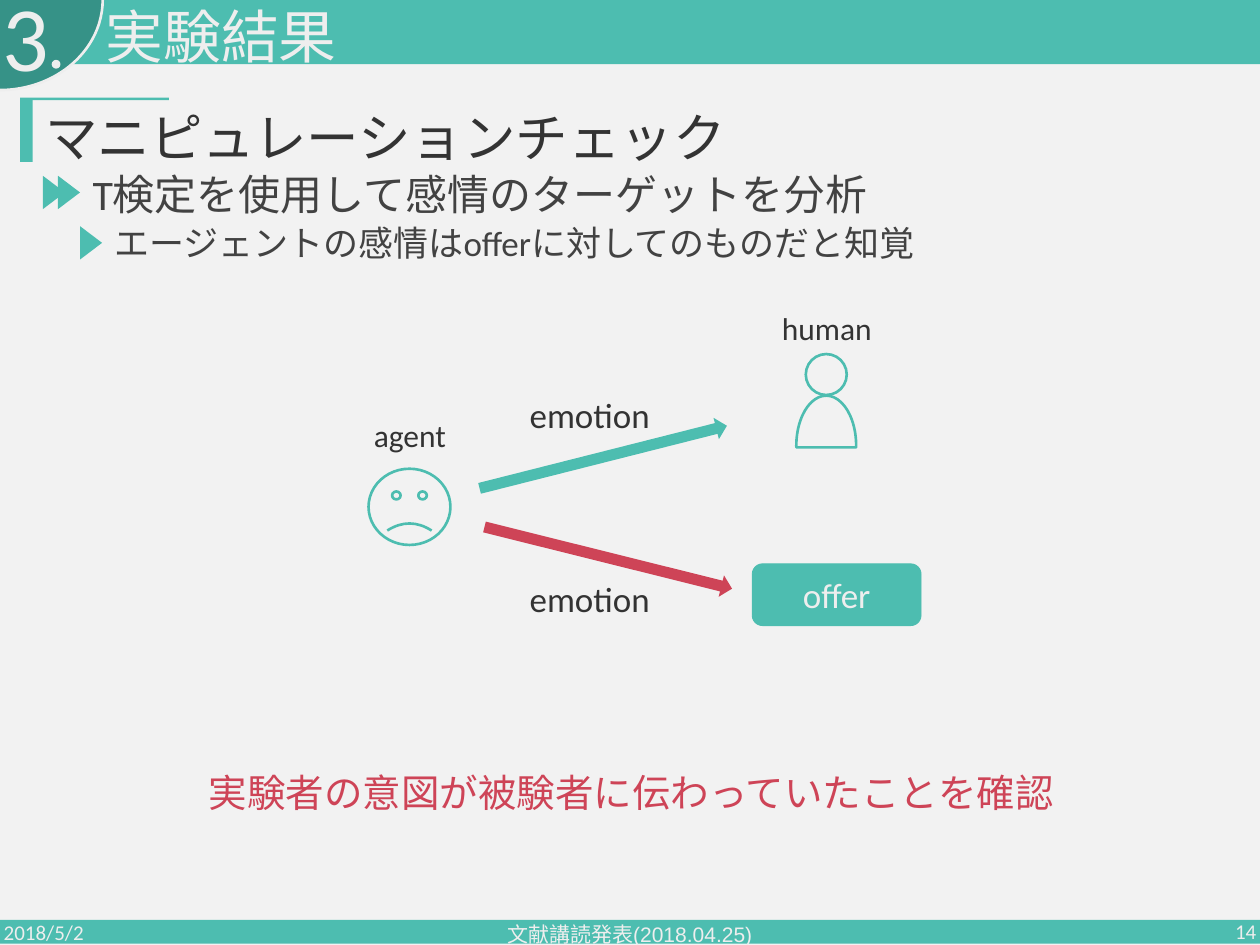
from collections import namedtuple
from dataclasses import dataclass

from pptx import Presentation
from pptx.dml.color import RGBColor
from pptx.enum.shapes import MSO_SHAPE as Form
from pptx.enum.text import MSO_ANCHOR as Anchor, MSO_AUTO_SIZE as Auto, PP_ALIGN as Align
from pptx.util import Inches, Pt


@dataclass(frozen=True)
class Theme:
    """Colours, fonts and type sizes of the slide."""
    back: str = "F2F2F2"
    teal: str = "4DBDB0"
    deep: str = "369287"
    pale: str = "EEEEEE"
    dark: str = "333333"
    grey: str = "424242"
    red: str = "CE4457"
    font: str = "Calibri"
    alt: str = "Arial"
    number: int = 105
    title: int = 66
    head: int = 60
    point: int = 48
    close: int = 44
    label: int = 40
    name: int = 36
    foot: int = 24
    line: int = 3


T = Theme()
Box = namedtuple("Box", "x y w h")


def color(code):
    """Turn a hex code into a colour."""
    return RGBColor.from_string(code)


def part(box, x, y, w, h):
    """Give the box at an offset inside another box."""
    return Box(box.x + x, box.y + y, w, h)


def place(box):
    """Give a box as four lengths."""
    return [Inches(round(v, 2)) for v in box]


def shape(shapes, form, box, fill=None, line=None, width=T.line, turn=0):
    """Add a preset shape without shadow."""
    item = shapes.add_shape(form, *place(box))
    item.shadow.inherit = False
    item.rotation = turn
    if fill:
        item.fill.solid()
        item.fill.fore_color.rgb = color(fill)
    else:
        item.fill.background()
    if line:
        item.line.color.rgb = color(line)
        item.line.width = Pt(width)
    else:
        item.line.fill.background()
    return item


def write(frame, text, size, ink, align=Align.LEFT, font=T.font):
    """Put one run of text in a frame and return its paragraph."""
    frame.word_wrap = True
    para = frame.paragraphs[0]
    para.alignment = align
    run = para.add_run()
    run.text = text
    run.font.size = Pt(size)
    run.font.name = font
    run.font.color.rgb = color(ink)
    return para


def body(shapes, box, text, size, ink):
    """Add a left-aligned line with tight spacing."""
    frame = shapes.add_textbox(*place(box)).text_frame
    para = write(frame, text, size, ink)
    para.line_spacing = 0.9
    para.space_before = Pt(20)


def label(shapes, box, text, size, ink=T.dark):
    """Add a centred label that fits its text."""
    frame = shapes.add_textbox(*place(box)).text_frame
    frame.auto_size = Auto.SHAPE_TO_FIT_TEXT
    write(frame, text, size, ink, Align.CENTER)


def header(shapes, box):
    """Draw the title band with its numbered corner."""
    shape(shapes, Form.RECTANGLE, box, T.teal)
    shape(shapes, Form.ARC, part(box, -1.44, -1.64, 2.87, 3.27), T.deep, T.pale, turn=90)
    shape(shapes, Form.OVAL, part(box, 0.82, 0.95, 0.14, 0.14), T.pale)
    body(shapes, part(box, -0.06, -0.17, 7.05, 1.55), "3", T.number, T.pale)
    body(shapes, part(box, 1.58, 0.08, 14.57, 0.87), "実験結果", T.title, T.pale)


def footer(shapes, box):
    """Draw the bottom band with date, event and page."""
    shape(shapes, Form.RECTANGLE, box, T.teal)
    cells = [
        (-0.04, -0.21, 4.5, "2018/5/2", Align.LEFT, T.font),
        (6.62, -0.18, 6.75, "文献講読発表(2018.04.25)", Align.CENTER, T.alt),
        (15.54, -0.22, 4.5, "14", Align.RIGHT, T.font),
    ]
    for x, y, w, text, align, font in cells:
        frame = shapes.add_textbox(*place(part(box, x, y, w, 0.8))).text_frame
        frame.vertical_anchor = Anchor.MIDDLE
        write(frame, text, T.foot, T.pale, align, font)


def points(shapes, box):
    """Draw the heading and its two levels of points."""
    mark = shapes.add_group_shape().shapes
    shape(mark, Form.RECTANGLE, part(box, 0, 0.03, 0.2, 0.99), T.teal)
    shape(mark, Form.RECTANGLE, part(box, 0, 0, 2.36, 0.04), T.teal)
    pair = shapes.add_group_shape().shapes
    for to, x, y in [(pair, 0.27, 1.33), (pair, 0.51, 1.33), (shapes, 0.86, 2.13)]:
        shape(to, Form.ISOSCELES_TRIANGLE, part(box, x, y, 0.53, 0.35), T.teal, turn=90)
    body(shapes, part(box, 1.05, 1.17, 18.19, 1.09),
         "T検定を使用して感情のターゲットを分析", T.point, T.grey)
    body(shapes, part(box, 1.4, 2, 17.65, 0.93),
         "エージェントの感情はofferに対してのものだと知覚", T.label, T.grey)
    body(shapes, part(box, 0.3, 0.18, 18.92, 1.53),
         "マニピュレーションチェック", T.head, T.dark)


def agent(shapes, box):
    """Draw the sad agent under its name."""
    label(shapes, part(box, 0, 0, box.w, 0.71), "agent", T.name)
    face = shape(shapes, Form.SMILEY_FACE, part(box, 0.47, 0.89, 1.3, 1.21), line=T.teal)
    face.adjustments[0] = -0.047


def human(shapes, box):
    """Draw the human figure under its name."""
    label(shapes, part(box, 0, 0, box.w, 0.71), "human", T.name)
    shape(shapes, Form.OVAL, part(box, 0.79, 0.77, 0.65, 0.65), line=T.teal)
    torso = shape(shapes, Form.CHORD, part(box, 0.64, 1.43, 0.95, 1.59), line=T.teal)
    torso.adjustments[0] = 106.149
    torso.adjustments[1] = 1.95


def offer(shapes, box):
    """Draw the offer button."""
    item = shape(shapes, Form.ROUNDED_RECTANGLE, box, T.teal, T.teal, 1)
    item.text_frame.vertical_anchor = Anchor.MIDDLE
    write(item.text_frame, "offer", T.label, T.pale, Align.CENTER)


def diagram(shapes, box):
    """Draw the agent's emotion going to the human and the offer."""
    group = shapes.add_group_shape().shapes
    agent(group, part(box, 0, 1.7, 2.25, 2.1))
    human(group, part(box, 6.62, 0, 2.25, 3.02))
    offer(group, part(box, 6.56, 4.1, 2.68, 0.98))
    for x, y, turn, ink, top in [
        (2.17, 2.23, -14.2, T.teal, 1.34),
        (2.25, 3.83, 14, T.red, 4.27),
    ]:
        shape(group, Form.RIGHT_ARROW, part(box, x, y, 4.05, 0.35), ink, turn=turn)
        label(group, part(box, 2.74, top, 2.48, 0.77), "emotion", T.label)


def main():
    """Build and save the slide."""
    deck = Presentation()
    deck.slide_width, deck.slide_height = Inches(20), Inches(15)
    slide = deck.slides.add_slide(deck.slide_layouts[6])
    slide.background.fill.solid()
    slide.background.fill.fore_color.rgb = color(T.back)
    shapes = slide.shapes
    footer(shapes, Box(0, 14.6, 20, 0.38))
    header(shapes, Box(0, 0, 20, 1.02))
    points(shapes, Box(0.32, 1.55, 19.24, 2.93))
    diagram(shapes, Box(5.38, 4.85, 9.24, 5.08))
    label(shapes, Box(1.61, 12.16, 16.83, 0.84),
          "実験者の意図が被験者に伝わっていたことを確認", T.close, T.red)
    deck.save("out.pptx")


if __name__ == "__main__":
    main()
